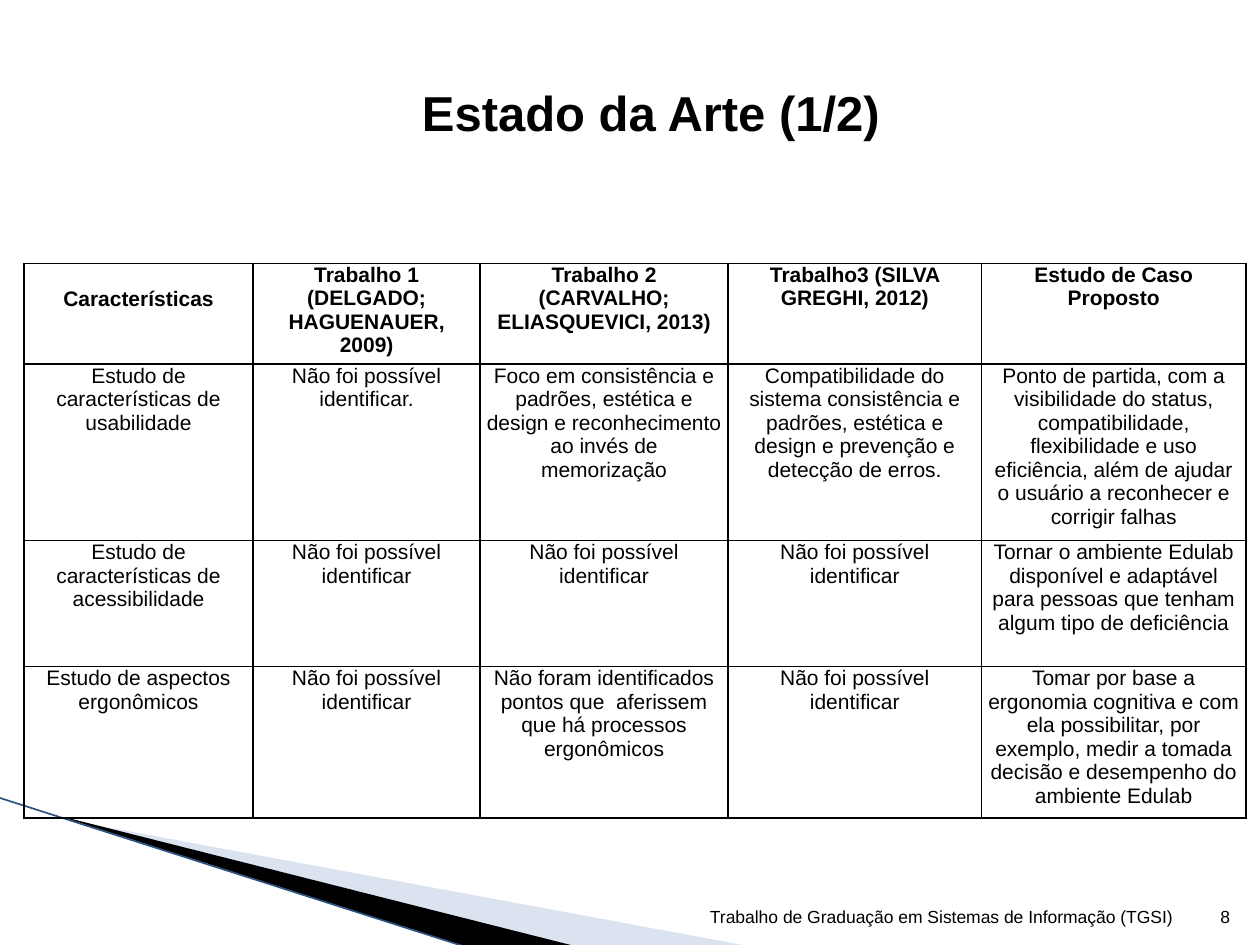
from dataclasses import dataclass

from lxml import etree
from pptx import Presentation
from pptx.dml.color import RGBColor
from pptx.enum.shapes import MSO_CONNECTOR
from pptx.enum.text import MSO_ANCHOR, PP_ALIGN
from pptx.oxml.ns import qn
from pptx.util import Inches, Pt

STRAIGHT = MSO_CONNECTOR.STRAIGHT
MIDDLE, BOTTOM = MSO_ANCHOR.MIDDLE, MSO_ANCHOR.BOTTOM
CENTER, RIGHT = PP_ALIGN.CENTER, PP_ALIGN.RIGHT
FONT = "Arial"
BLACK = "000000"
NOT_FOUND = "Não foi possível identificar"
Box = tuple[float, float, float, float]


@dataclass
class Wedge:
    points: list[tuple[float, float]]
    frame: Box
    color: str
    opacity: int = 100


@dataclass
class Label:
    text: str
    box: Box
    align: PP_ALIGN
    anchor: MSO_ANCHOR
    size: int
    bold: bool = False


WEDGES = [
    Wedge([(0.55, 6.51), (5.95, 7.51), (4.56, 7.51), (0.55, 6.5)],
          (0.78, 5.47, 4.16, 1.58), "A7B9DB", 40),
    Wedge([(0.53, 6.49), (4.57, 7.51), (3.72, 7.52), (0.54, 6.5)],
          (-0.06, 6.33, 4.16, 0.92), BLACK),
]
TITLE = Label("Estado da Arte (1/2)", (1.7, 0.38, 6.93, 1.02), CENTER, MIDDLE, 28, True)
FOOTERS = [
    Label("8", (9.46, 7.01, 0.4, 0.4), RIGHT, BOTTOM, 10),
    Label("Trabalho de Graduação em Sistemas de Informação (TGSI)",
          (5.39, 7.14, 4.16, 0.27), CENTER, MIDDLE, 10),
]
COLUMN_WIDTHS = [1.82, 1.8, 1.97, 2.01, 2.1]
ROW_HEIGHTS = [0.8, 1.4, 1, 1.2]
COMPARISON = [
    ["Características", "Trabalho 1 (DELGADO; HAGUENAUER, 2009)",
     "Trabalho 2 (CARVALHO; ELIASQUEVICI, 2013)", "Trabalho3 (SILVA GREGHI, 2012)",
     "Estudo de Caso Proposto"],
    ["Estudo de características de usabilidade", NOT_FOUND + ".",
     "Foco em consistência e padrões, estética e design e reconhecimento ao invés de memorização",
     "Compatibilidade do sistema consistência e padrões, estética e design e prevenção e "
     "detecção de erros.",
     "Ponto de partida, com a visibilidade do status, compatibilidade, flexibilidade e uso "
     "eficiência, além de ajudar o usuário a reconhecer e corrigir falhas"],
    ["Estudo de características de acessibilidade", NOT_FOUND, NOT_FOUND, NOT_FOUND,
     "Tornar o ambiente Edulab disponível e adaptável para pessoas que tenham algum tipo "
     "de deficiência"],
    ["Estudo de aspectos ergonômicos", NOT_FOUND,
     "Não foram identificados pontos que  aferissem que há processos ergonômicos", NOT_FOUND,
     "Tomar por base a ergonomia cognitiva e com ela possibilitar, por exemplo, medir a "
     "tomada decisão e desempenho do ambiente Edulab"],
]


def rgb(color: str) -> RGBColor:
    return RGBColor.from_string(color)


def move(shape, box: Box) -> None:
    shape.left, shape.top, shape.width, shape.height = map(Inches, box)


def write(frame, text: str, size: int, align: PP_ALIGN, bold: bool) -> None:
    frame.text = text
    paragraph = frame.paragraphs[0]
    paragraph.alignment = align
    font = paragraph.font
    font.name, font.size, font.bold = FONT, Pt(size), bold
    font.color.rgb = rgb(BLACK)


def place_label(shape, label: Label) -> None:
    move(shape, label.box)
    write(shape.text_frame, label.text, label.size, label.align, label.bold)
    shape.text_frame.word_wrap = True
    shape.text_frame.vertical_anchor = label.anchor


def set_frame(shape, frame: Box) -> None:
    left, top = shape.left, shape.top
    move(shape, frame)
    outline = next(shape.element.iter(qn("a:path")))
    outline.set("w", str(shape.width))
    outline.set("h", str(shape.height))
    for point in outline.iter(qn("a:pt")):
        point.set("x", str(int(point.get("x")) + left - shape.left))
        point.set("y", str(int(point.get("y")) + top - shape.top))


def draw_wedge(slide, wedge: Wedge) -> None:
    start, *rest = [(Inches(x), Inches(y)) for x, y in wedge.points]
    builder = slide.shapes.build_freeform(*start)
    builder.add_line_segments(rest)
    shape = builder.convert_to_shape()
    set_frame(shape, wedge.frame)
    shape.shadow.inherit = False
    shape.line.fill.background()
    shape.fill.solid()
    shape.fill.fore_color.rgb = rgb(wedge.color)
    if wedge.opacity < 100:
        color = next(shape.element.spPr.iter(qn("a:srgbClr")))
        etree.SubElement(color, qn("a:alpha"), val=str(wedge.opacity * 1000))


def draw_edge(slide) -> None:
    edge = slide.shapes.add_connector(
        STRAIGHT, Inches(-0.01), Inches(6.33), Inches(3.71), Inches(7.52))
    edge.line.color.rgb = rgb("2C5482")
    edge.line.width = Pt(0.95)
    etree.SubElement(edge.element.spPr, qn("a:effectLst"))


def add_borders(cell, color: str, width: float) -> None:
    properties = cell._tc.get_or_add_tcPr()
    for position, side in enumerate(("lnL", "lnR", "lnT", "lnB")):
        border = etree.Element(qn(f"a:{side}"), w=str(Pt(width)))
        fill = etree.SubElement(border, qn("a:solidFill"))
        etree.SubElement(fill, qn("a:srgbClr"), val=color)
        properties.insert(position, border)


def draw_comparison(slide) -> None:
    table = slide.shapes.add_table(
        len(ROW_HEIGHTS), len(COLUMN_WIDTHS), Inches(0.19), Inches(2.09),
        Inches(sum(COLUMN_WIDTHS)), Inches(sum(ROW_HEIGHTS))).table
    table.first_row = table.horz_banding = False
    for column, width in zip(table.columns, COLUMN_WIDTHS):
        column.width = Inches(width)
    for row_index, (row, height) in enumerate(zip(table.rows, ROW_HEIGHTS)):
        row.height = Inches(height)
        for cell, text in zip(row.cells, COMPARISON[row_index]):
            cell.margin_left = cell.margin_right = Inches(0.05)
            cell.margin_top = cell.margin_bottom = 0
            cell.fill.background()
            add_borders(cell, BLACK, 1)
            write(cell.text_frame, text, 12, CENTER, row_index == 0)
    table.cell(0, 0).margin_top = Inches(0.19)


def main() -> None:
    deck = Presentation()
    deck.slide_width, deck.slide_height = Inches(10), Inches(7.5)
    slide = deck.slides.add_slide(deck.slide_layouts[5])
    for wedge in WEDGES:
        draw_wedge(slide, wedge)
    draw_edge(slide)
    for footer in FOOTERS:
        place_label(slide.shapes.add_textbox(*map(Inches, footer.box)), footer)
    place_label(slide.shapes.title, TITLE)
    draw_comparison(slide)
    deck.save("out.pptx")


if __name__ == "__main__":
    main()
